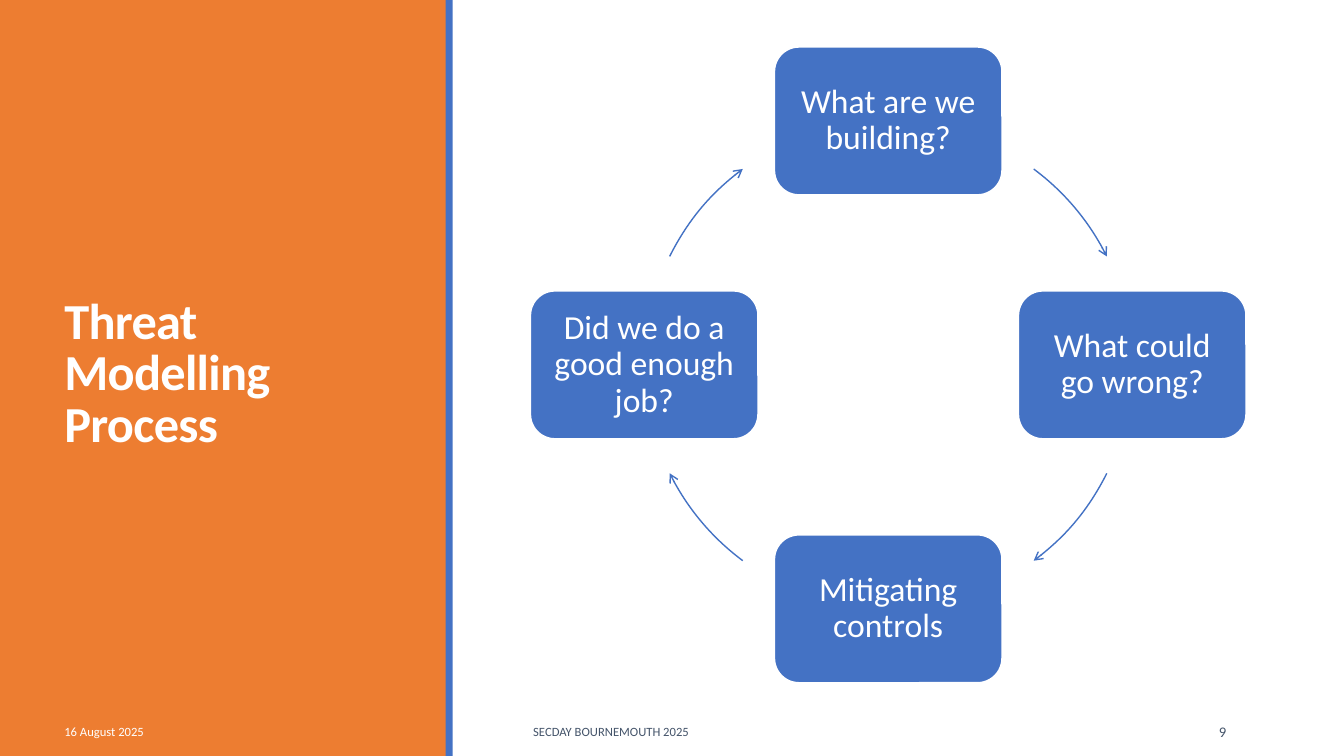
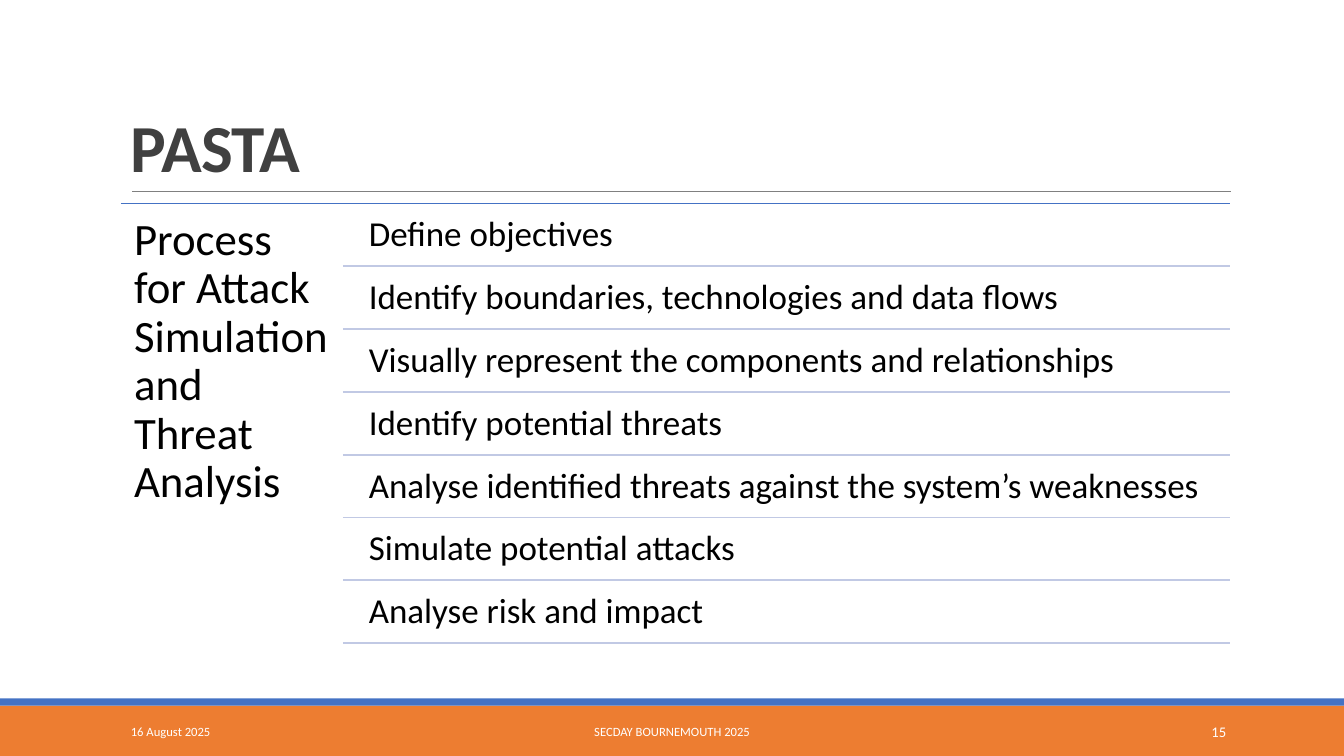
from lxml.etree import SubElement
from pptx import Presentation
from pptx.dml.color import RGBColor
from pptx.enum.shapes import MSO_CONNECTOR, MSO_SHAPE
from pptx.enum.text import MSO_ANCHOR, PP_ALIGN
from pptx.oxml.ns import qn
from pptx.util import Inches, Pt

ORANGE = RGBColor(0xED, 0x7D, 0x31)
BLUE = RGBColor(0x44, 0x72, 0xC4)
PALE_BLUE = RGBColor(0xC1, 0xC9, 0xE4)
SLATE = RGBColor(0x44, 0x54, 0x6A)
CHARCOAL = RGBColor(0x40, 0x40, 0x40)
GREY = RGBColor(0x80, 0x80, 0x80)
WHITE = RGBColor(0xFF, 0xFF, 0xFF)
BLACK = RGBColor(0, 0, 0)
FONT = "Calibri"

DATE = "16 August 2025"
EVENT = "SECDAY BOURNEMOUTH 2025"
CYCLE_TITLE = "Threat Modelling Process"
QUESTIONS = [
    "What are we building?",
    "What could go wrong?",
    "Mitigating controls",
    "Did we do a good enough job?",
]
PASTA_TITLE = "PASTA"
PASTA_MEANING = "Process for Attack Simulation and Threat Analysis"
PASTA_STAGES = [
    "Define objectives",
    "Identify boundaries, technologies and data flows",
    "Visually represent the components and relationships",
    "Identify potential threats",
    "Analyse identified threats against the system’s weaknesses",
    "Simulate potential attacks",
    "Analyse risk and impact",
]

CENTER_X, CENTER_Y, RADIUS = 8.81, 3.62, 2.42
CARD_W, CARD_H = 2.26, 1.47
DIRECTIONS = [(0, -1), (1, 0), (0, 1), (-1, 0)]
ARC_CLEARANCE = [36.6, 26.4]

LIST_LEFT, LIST_RIGHT = 3.4, 12.2
LIST_TOP, LIST_BOTTOM = 2.02, 6.38


def inches(*lengths):
    return [Inches(length) for length in lengths]


def write(shape, text, size, color, align=PP_ALIGN.LEFT, anchor=MSO_ANCHOR.MIDDLE,
          spacing=1.0, inset=None, bold=False, tracking=None):
    frame = shape.text_frame
    frame.word_wrap = True
    frame.vertical_anchor = anchor
    if inset is not None:
        frame.margin_left = frame.margin_right = Inches(inset)
        frame.margin_top = frame.margin_bottom = Inches(inset)
    frame.text = text
    paragraph = frame.paragraphs[0]
    paragraph.alignment = align
    paragraph.line_spacing = spacing
    font = paragraph.runs[0].font
    font.name, font.size, font.bold = FONT, Pt(size), bold
    font.color.rgb = color
    if tracking is not None:
        paragraph.runs[0]._r.get_or_add_rPr().set("spc", str(int(tracking * 100)))


def add_text(slide, box, text, size, color, **style):
    write(slide.shapes.add_textbox(*inches(*box)), text, size, color, **style)


def add_title(slide, box, text, size, color, anchor):
    add_text(slide, box, text, size, color, anchor=anchor,
             spacing=0.85, bold=True, tracking=-0.5)


def add_block(slide, box, color, kind=MSO_SHAPE.RECTANGLE):
    block = slide.shapes.add_shape(kind, *inches(*box))
    block.shadow.inherit = False
    block.fill.solid()
    block.fill.fore_color.rgb = color
    block.line.fill.background()
    return block


def add_rule(slide, left, right, y, color, width):
    rule = slide.shapes.add_connector(MSO_CONNECTOR.STRAIGHT, *inches(left, y, right, y))
    rule.line.color.rgb = color
    rule.line.width = Pt(width)
    SubElement(rule._element.spPr, qn("a:effectLst"))


def add_footer(slide, number, spans, colors, event_align):
    entries = [(DATE, 9, PP_ALIGN.LEFT), (EVENT, 9, event_align),
               (number, 10.5, PP_ALIGN.RIGHT)]
    for (text, size, align), (left, width), color in zip(entries, spans, colors):
        add_text(slide, (left, 7.06, width, 0.4), text, size, color, align=align)


def add_arc_arrow(slide, start, end):
    arc = slide.shapes.add_shape(MSO_SHAPE.ARC, *inches(
        CENTER_X - RADIUS, CENTER_Y - RADIUS, 2 * RADIUS, 2 * RADIUS))
    arc.shadow.inherit = False
    arc.fill.background()
    arc.line.color.rgb = BLUE
    arc.line.width = Pt(1)
    for index, angle in enumerate((start, end)):
        arc.adjustments[index] = angle % 360 * 0.6
    SubElement(arc.line._get_or_add_ln(), qn("a:tailEnd"), type="arrow")


def build_cycle(slide):
    add_block(slide, (0, 0, 4.43, 7.5), ORANGE)
    add_title(slide, (0.54, 0.57, 3.37, 6.31), CYCLE_TITLE, 36, WHITE, MSO_ANCHOR.MIDDLE)
    add_block(slide, (4.42, 0, 0.07, 7.5), BLUE)
    add_footer(slide, "9", [(0.54, 1.9), (5.19, 5.58), (11.07, 1.19)],
               [WHITE, SLATE, SLATE], PP_ALIGN.LEFT)
    for index, (question, (dx, dy)) in enumerate(zip(QUESTIONS, DIRECTIONS)):
        left = CENTER_X + dx * RADIUS - CARD_W / 2
        top = CENTER_Y + dy * RADIUS - CARD_H / 2
        card = add_block(slide, (left, top, CARD_W, CARD_H), BLUE,
                         MSO_SHAPE.ROUNDED_RECTANGLE)
        card.line.color.rgb = WHITE
        card.line.width = Pt(1.25)
        write(card, question, 24, WHITE, align=PP_ALIGN.CENTER, spacing=0.9, inset=0.1)
        card_angle = 90 * index - 90
        add_arc_arrow(slide, card_angle + ARC_CLEARANCE[index % 2],
                      card_angle + 90 - ARC_CLEARANCE[(index + 1) % 2])


def build_pasta(slide):
    add_block(slide, (0, 7, 13.33, 0.5), ORANGE)
    add_block(slide, (0, 6.93, 13.33, 0.07), BLUE)
    add_rule(slide, 1.31, 12.21, 1.9, GREY, 0.5)
    add_title(slide, (1.2, 0.31, 11, 1.59), PASTA_TITLE, 48, CHARCOAL, MSO_ANCHOR.BOTTOM)
    add_rule(slide, 1.2, LIST_RIGHT, LIST_TOP, BLUE, 1.25)
    add_text(slide, (1.2, LIST_TOP, 2.2, 4.4), PASTA_MEANING, 32, BLACK,
             anchor=MSO_ANCHOR.TOP, spacing=0.9, inset=0.13)
    pitch = (LIST_BOTTOM - LIST_TOP) / len(PASTA_STAGES)
    for index, stage in enumerate(PASTA_STAGES):
        top = LIST_TOP + index * pitch
        add_text(slide, (3.56, top + 0.03, 8.63, 0.59), stage, 25, BLACK,
                 anchor=MSO_ANCHOR.TOP, spacing=0.9, inset=0.1)
        add_rule(slide, LIST_LEFT, LIST_RIGHT, top + pitch, PALE_BLUE, 1.25)
    add_footer(slide, "15", [(1.2, 2.7), (4.03, 5.27), (10.83, 1.43)],
               [WHITE] * 3, PP_ALIGN.CENTER)


def main():
    deck = Presentation()
    deck.slide_width, deck.slide_height = inches(13.33, 7.5)
    for build in (build_cycle, build_pasta):
        build(deck.slides.add_slide(deck.slide_layouts[6]))
    deck.save("out.pptx")


if __name__ == "__main__":
    main()
